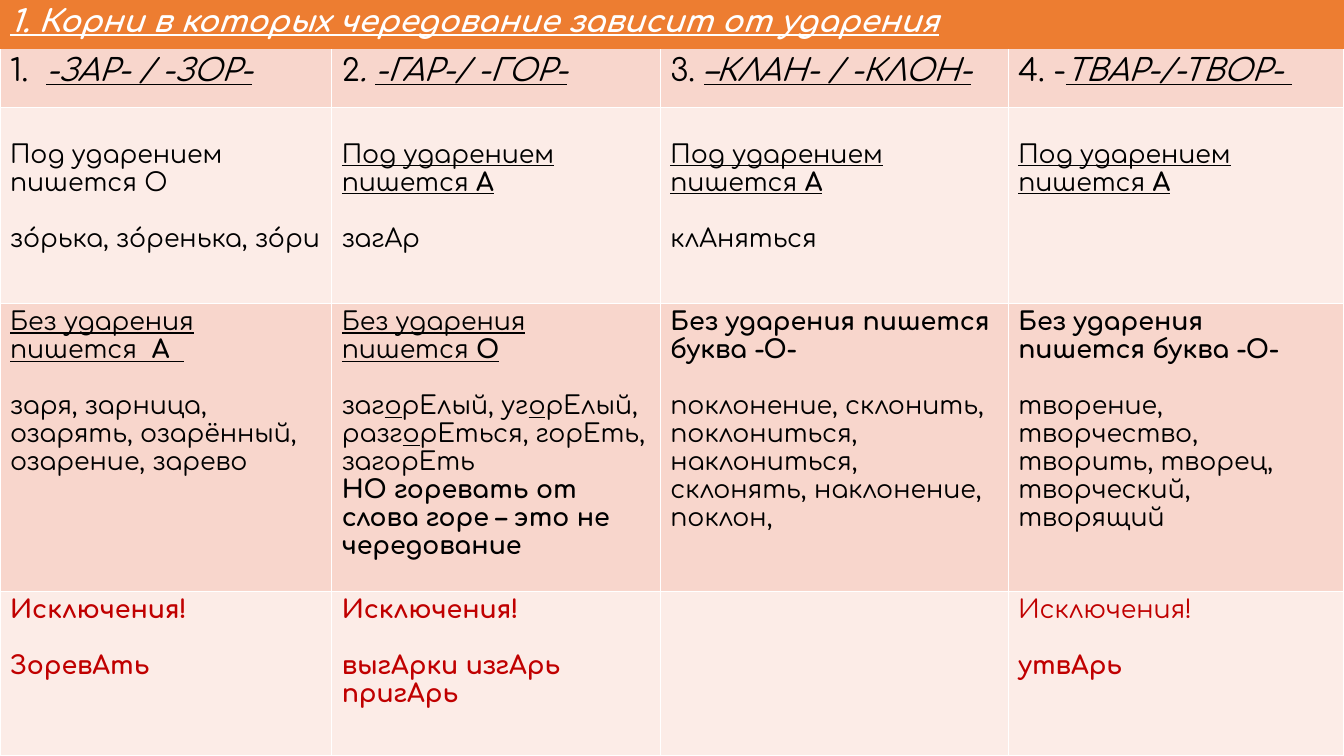
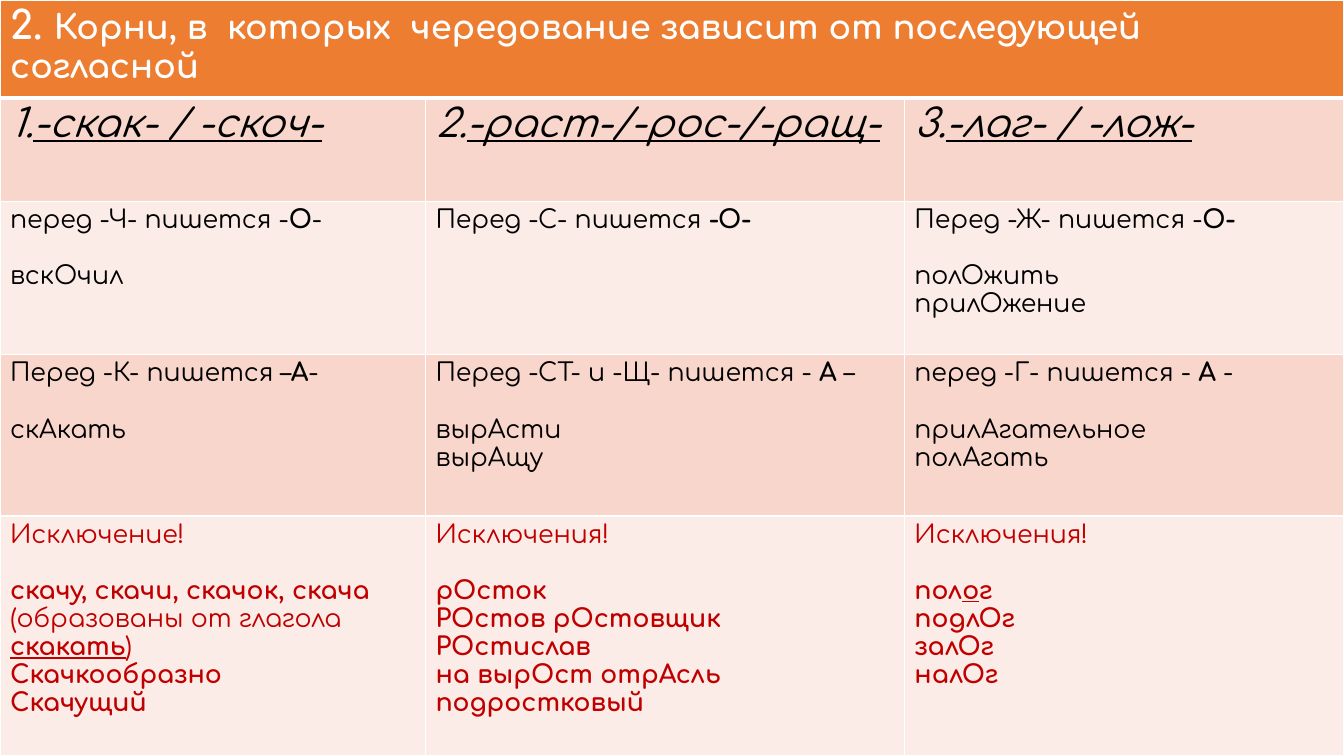
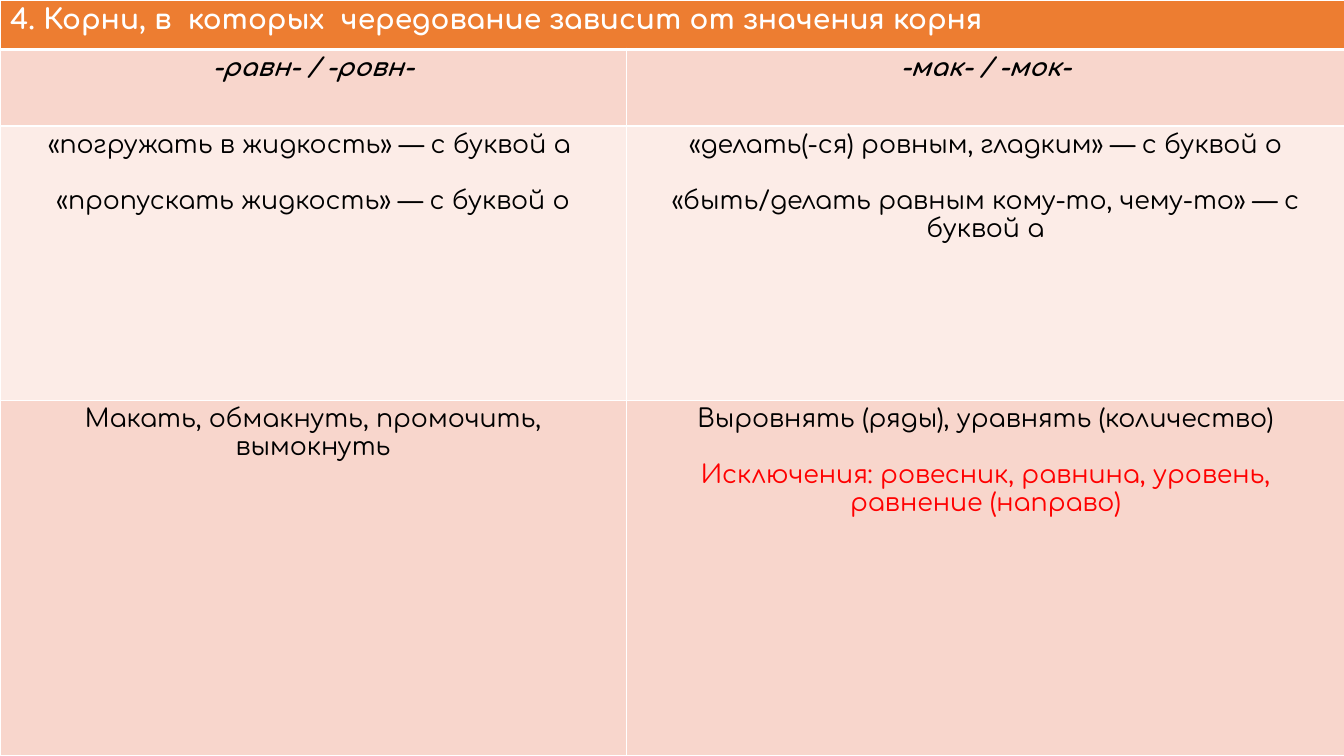
"""Builds three table slides on Russian roots with alternating vowels."""
from dataclasses import dataclass

from lxml import etree
from pptx import Presentation
from pptx.dml.color import RGBColor
from pptx.enum.text import PP_ALIGN
from pptx.oxml.ns import qn
from pptx.util import Inches, Pt

LEFT, CENTER = PP_ALIGN.LEFT, PP_ALIGN.CENTER
FONT = "Comfortaa"
WHITE, BLACK, DARK_RED, RED = "FFFFFF", "000000", "C00000", "FF0000"
TITLE_FILL, BAND_FILLS = "ED7D31", ("FCECE7", "F8D6CC")
BLANK_LINE = 20


def rgb(value):
    return RGBColor.from_string(value)


@dataclass
class Line:
    runs: tuple
    gap: bool = False
    color: str = ""


@dataclass
class Row:
    height: float
    cells: list
    size: int = 18
    color: str = BLACK
    align: PP_ALIGN = LEFT
    top: float = 0.05


def line(*runs):
    return Line(runs)


def block(*runs, color=""):
    return Line(runs, True, color)


class Deck:
    def __init__(self):
        self.presentation = Presentation()
        self.presentation.slide_width = Inches(13.33)
        self.presentation.slide_height = Inches(7.5)
        self.slide = None

    def add_slide(self):
        layout = self.presentation.slide_layouts[6]
        self.slide = self.presentation.slides.add_slide(layout)

    def add_borders(self, cell, **widths):
        properties = cell._tc.get_or_add_tcPr()
        for side, width in widths.items():
            border = etree.SubElement(properties, qn("a:ln" + side), w=str(Pt(width)))
            if width:
                fill = etree.SubElement(border, qn("a:solidFill"))
                etree.SubElement(fill, qn("a:srgbClr"), val=WHITE)
            else:
                etree.SubElement(border, qn("a:noFill"))

    def add_run(self, paragraph, content, size, color):
        text, style, size = content if len(content) == 3 else (*content, size)
        run = paragraph.add_run()
        run.text = text
        font = run.font
        font.name, font.size, font.color.rgb = FONT, Pt(size), rgb(color)
        font.bold, font.italic = "b" in style, "i" in style
        font.underline = "u" in style

    def fill_cell(self, cell, lines, row):
        cell.margin_top = Inches(row.top)
        frame = cell.text_frame
        for index, item in enumerate(lines):
            paragraph = frame.add_paragraph() if index else frame.paragraphs[0]
            paragraph.alignment = row.align
            if item.gap:
                paragraph.space_before = Pt(BLANK_LINE)
            for run in item.runs:
                content = (run, "") if isinstance(run, str) else run
                self.add_run(paragraph, content, row.size, item.color or row.color)

    def add_table(self, widths, title, rows, title_line=3):
        rows = [title, *rows]
        height = sum(row.height for row in rows)
        table = self.slide.shapes.add_table(
            len(rows), len(widths), 0, 0, Inches(sum(widths)), Inches(height)).table
        table.first_row = table.horz_banding = False
        for column, width in zip(table.columns, widths):
            column.width = Inches(width)
        for index, row in enumerate(rows):
            table.rows[index].height = Inches(row.height)
            edge = 1 if title_line else 0
            borders = {
                0: dict(L=edge, R=edge, T=edge, B=title_line),
                1: dict(L=1, R=1, T=title_line, B=1),
            }.get(index, dict(L=1, R=1, T=1, B=1))
            for cell in table.rows[index].cells:
                self.add_borders(cell, **borders)
                cell.fill.solid()
                cell.fill.fore_color.rgb = rgb(BAND_FILLS[index % 2] if index else TITLE_FILL)
            for column, lines in enumerate(row.cells):
                self.fill_cell(table.cell(index, column), lines, row)
        table.cell(0, 0).merge(table.cell(0, len(widths) - 1))


def title_row(height, size, *runs):
    return Row(height, [[line(*runs)]], size, WHITE)


deck = Deck()

deck.add_slide()
stressed_a = line(("Под ударением пишется ", "u"), ("А", "bu"))
unstressed_o = line(("Без ударения пишется буква -О-\u00a0", "b"))
exceptions = line("Исключения!")
bold_exceptions = line(("Исключения!", "b"))
deck.add_table(
    [3.29, 3.26, 3.45, 3.33],
    title_row(0.49, 22, ("1. Корни в которых чередование зависит от ударения", "biu")),
    [
        Row(0.58, [
            [line("1.  ", ("-ЗАР- / -ЗОР-", "iu"))],
            [line("2", (". ", "i"), ("-ГАР-/ -ГОР-", "iu"))],
            [line("3. ", ("–КЛАН- / -КЛОН-", "iu"))],
            [line("4. -", ("ТВАР-/-ТВОР- ", "iu"))],
        ], size=22),
        Row(1.94, [
            [line("Под ударением пишется О"), block("зóрька, зóренька, зóри")],
            [stressed_a, block("загАр")],
            [stressed_a, block("клАняться")],
            [stressed_a],
        ], top=0.33),
        Row(2.86, [
            [line(("Без ударения пишется  ", "u"), ("А \u00a0", "bu")),
             block("заря, зарница, озарять, озарённый, озарение, зарево")],
            [line(("Без ударения пишется ", "u"), ("О", "bu")),
             block("заг", ("о", "u"), "рЕлый, уг", ("о", "u"), "рЕлый, разг",
                   ("о", "u"), "рЕться, горЕть, загорЕть"),
             line(("НО горевать от слова горе – это не чередование", "b"))],
            [unstressed_o,
             block("поклонение, склонить, поклониться, наклониться, "
                   "склонять, наклонение, поклон, ")],
            [unstressed_o,
             block("творение, творчество, творить, творец, творческий, творящий ")],
        ]),
        Row(1.63, [
            [bold_exceptions, block(("ЗоревАть", "b"))],
            [bold_exceptions, block(("выгАрки изгАрь", "b")), line(("пригАрь", "b"))],
            [],
            [exceptions, block(("утвАрь", "b"))],
        ], color=DARK_RED),
    ],
    title_line=0,
)

deck.add_slide()
deck.add_table(
    [4.22, 4.75, 4.36],
    title_row(0.97, 24, ("2. ", "b", 28),
              ("Корни, в  которых  чередование зависит от последующей согласной", "b")),
    [
        Row(1.03, [
            [line(("1.", "i"), ("-скак- / -скоч-", "iu"))],
            [line(("2.", "i"), ("-раст-/-рос-/-ращ-", "iu"))],
            [line(("3.", "i"), ("-лаг- / -лож-", "iu"))],
        ], size=28),
        Row(1.52, [
            [line("перед -Ч- пишется -", ("О", "b"), "-\u00a0"), block("вскОчил\u00a0")],
            [line("Перед -С- пишется ", ("-О-", "b"))],
            [line("Перед -Ж- пишется -", ("О-", "b")),
             block("полОжить"), line("прилОжение")],
        ]),
        Row(1.6, [
            [line("Перед -К- пишется –", ("А", "b"), "-"), block("скАкать")],
            [line("Перед -СТ- и -Щ- пишется -", (" А", "b"), " –"),
             block("вырАсти "), line("вырАщу ")],
            [line("перед -Г- пишется -", (" А", "b"), " -\u00a0"),
             block("прилАгательное\u00a0"), line("полАгать")],
        ]),
        Row(2.38, [
            [line("Исключение!"),
             block(("скачу, скачи, скачок, скача", "b"), " (образованы от глагола ",
                   ("скакать", "bu"), ")"),
             line(("Скачкообразно", "b")), line(("Скачущий", "b"))],
            [exceptions, block(("рОсток", "b")), line(("РОстов рОстовщик", "b")),
             line(("РОстислав", "b")),
             line(("на вырОст отрАсль подростковый\u00a0", "b"))],
            [exceptions, block(("пол", "b"), ("о", "bu"), ("г ", "b")),
             line(("подлОг\u00a0", "b")), line(("залОг", "b")), line(("налОг", "b"))],
        ], color=DARK_RED),
    ],
)

deck.add_slide()
deck.add_table(
    [6.21, 7.13],
    title_row(0.49, 20,
              ("4. Корни, в  которых  чередование зависит от значения корня ", "b")),
    [
        Row(0.76, [
            [line(("-равн- / -ровн-", "bi"))],
            [line(("-мак- / -мок-", "bi"))],
        ], align=CENTER),
        Row(2.72, [
            [line("«погружать в жидкость» — с буквой а "),
             block("«пропускать жидкость» — с буквой о")],
            [line("«делать(-ся) ровным, гладким» — с буквой о"),
             block("«быть/делать равным кому-то, чему-то» — с буквой а")],
        ], align=CENTER),
        Row(3.53, [
            [line("Макать, обмакнуть, промочить, вымокнуть")],
            [line("Выровнять (ряды), уравнять (количество)"),
             block("Исключения: ровесник, равнина, уровень, равнение (направо)",
                   color=RED)],
        ], align=CENTER),
    ],
)

deck.presentation.save("out.pptx")
